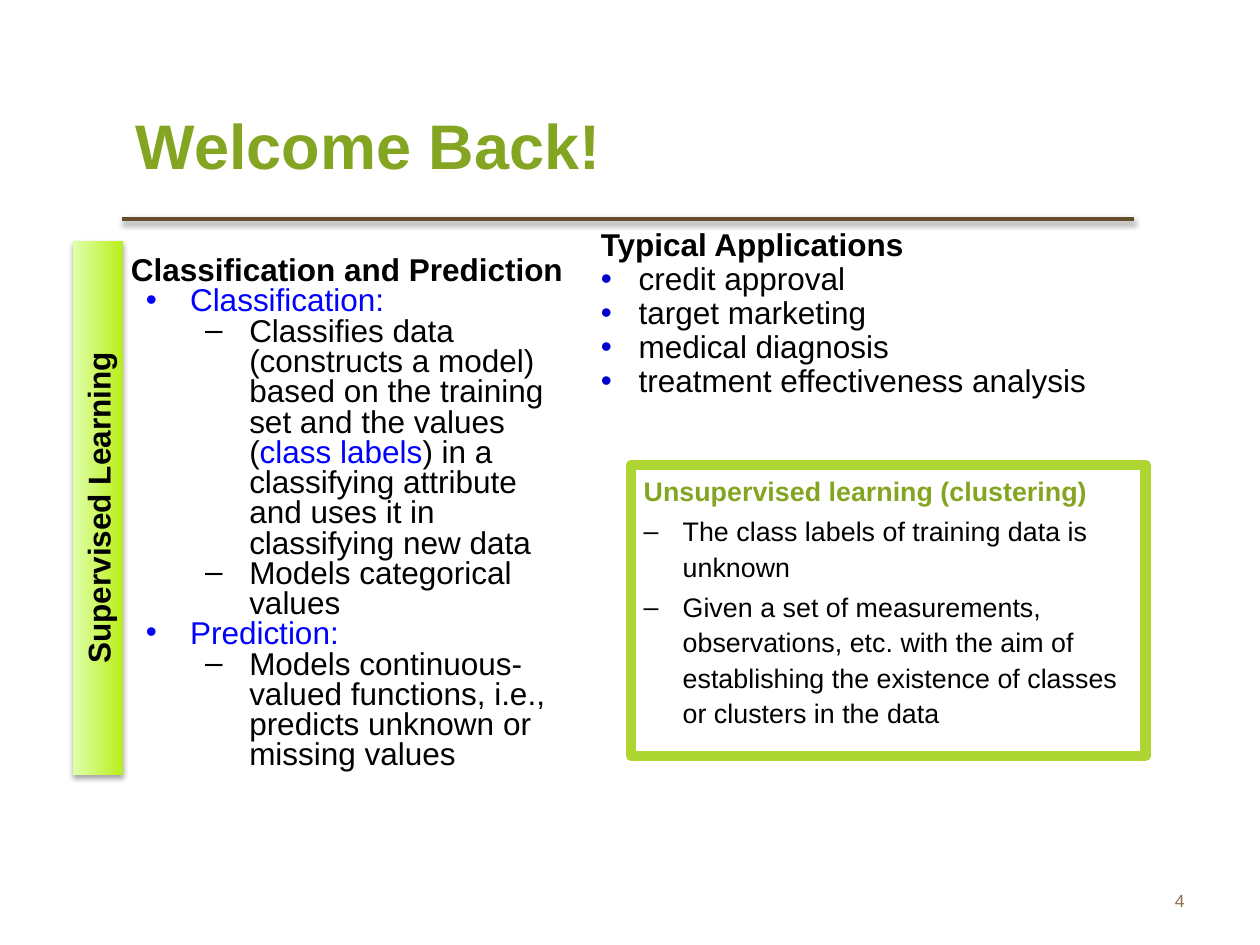
from dataclasses import dataclass
from lxml.etree import SubElement as Sub
from pptx import Presentation
from pptx.dml.color import RGBColor as Rgb
from pptx.enum.shapes import MSO_CONNECTOR as Link, MSO_SHAPE as Shape
from pptx.enum.text import MSO_ANCHOR as Anchor, PP_ALIGN as Align
from pptx.oxml.ns import qn
from pptx.util import Inches, Pt


@dataclass(frozen=True)
class Theme:
    face: str = "Arial"
    black: str = "000000"
    blue: str = "0000FF"
    dot: str = "0000CC"
    green: str = "84A521"
    frame: str = "ADD632"
    lime: str = "B9EF19"
    pale: str = "E0FFAB"
    brown: str = "634D2A"
    tan: str = "8F6F52"
    head: float = 36
    body: float = 18
    note: float = 15.3
    page: float = 10


T = Theme()


@dataclass(frozen=True)
class Style:
    size: float = T.body
    color: str = T.black
    bold: bool = False
    space: float = 1
    before: float = 0
    left: float = 0
    hang: float = 0
    mark: str = ""
    dot: str = ""
    align: Align = Align.LEFT


def set_mark(para, style):
    props = para._p.get_or_add_pPr()
    props.set("marL", str(Inches(style.left)))
    props.set("indent", str(-Inches(style.hang)))
    if style.dot:
        tint = Sub(props, qn("a:buClr"))
        Sub(tint, qn("a:srgbClr"), val=style.dot)
    Sub(props, qn("a:buFont"), typeface=T.face)
    Sub(props, qn("a:buChar"), char=style.mark)


def add_run(para, text, style, color):
    run = para.add_run()
    run.text = text
    font = run.font
    font.name, font.size, font.bold = T.face, Pt(style.size), style.bold
    font.color.rgb = Rgb.from_string(color)


def write(shape, rows, anchor=Anchor.TOP):
    frame = shape.text_frame
    frame.word_wrap = True
    frame.vertical_anchor = anchor
    for i, (style, *parts) in enumerate(rows):
        para = frame.add_paragraph() if i else frame.paragraphs[0]
        if style.mark:
            set_mark(para, style)
        para.alignment = style.align
        para.line_spacing = style.space
        para.space_before = Pt(style.before if i else 0)
        for part in parts:
            text, color = (part, style.color) if isinstance(part, str) else part
            add_run(para, text, style, color)


def add_text(slide, box, rows, anchor=Anchor.TOP):
    shape = slide.shapes.add_textbox(*map(Inches, box))
    write(shape, rows, anchor)


def add_rect(slide, box):
    shape = slide.shapes.add_shape(Shape.RECTANGLE, *map(Inches, box))
    shape.shadow.inherit = False
    return shape


def add_shade(props, alpha, dist):
    list_ = props.find(qn("a:effectLst"))
    if list_ is None:
        list_ = Sub(props, qn("a:effectLst"))
    cast = Sub(list_, qn("a:outerShdw"), blurRad=str(Pt(3.1)),
               dist=str(Pt(dist)), dir="5400000", rotWithShape="0")
    tint = Sub(cast, qn("a:srgbClr"), val=T.black)
    Sub(tint, qn("a:alpha"), val=str(alpha * 1000))


def add_rule(slide):
    ends = map(Inches, (0.97, 1.74, 9, 1.74))
    rule = slide.shapes.add_connector(Link.STRAIGHT, *ends)
    rule.line.color.rgb = Rgb.from_string(T.brown)
    rule.line.width = Pt(2)
    add_shade(rule._element.spPr, 38, 1.6)


def add_frame(slide, box, rows):
    shape = add_rect(slide, box)
    shape.fill.background()
    shape.line.color.rgb = Rgb.from_string(T.frame)
    shape.line.width = Pt(6)
    write(shape, rows)


def add_band(slide, box, text):
    shape = add_rect(slide, box)
    shape.rotation = 270
    shape.line.fill.background()
    shape.fill.gradient()
    shape.fill.gradient_angle = 90
    for stop, color in zip(shape.fill.gradient_stops, (T.lime, T.pale)):
        stop.color.rgb = Rgb.from_string(color)
    add_shade(shape._element.spPr, 35, 1.8)
    write(shape, [(Style(bold=True, align=Align.CENTER), text)])


def main():
    deck = Presentation()
    deck.slide_width, deck.slide_height = Inches(10), Inches(7.5)
    slide = deck.slides.add_slide(deck.slide_layouts[6])

    add_rule(slide)
    page = Style(T.page, T.tan, align=Align.RIGHT)
    add_text(slide, (7.17, 6.95, 2.33, 0.4), [(page, "4")], Anchor.MIDDLE)
    title = Style(T.head, T.green, True)
    add_text(slide, (0.98, 0.52, 8.52, 1.25), [(title, "Welcome Back!")], Anchor.MIDDLE)

    head = Style(bold=True, space=0.8)
    term = Style(color=T.blue, space=0.8, left=0.47, hang=0.35, mark="•")
    dash = Style(space=0.8, left=0.94, hang=0.35, mark="–")
    add_text(slide, (0.94, 1.76, 3.73, 4.65), [
        (head, "Classification and Prediction"),
        (term, "Classification:"),
        (dash, "Classifies data (constructs a model) based on the training set "
               "and the values (", ("class labels", T.blue),
         ") in a classifying attribute and uses it in classifying new data"),
        (dash, "Models categorical values"),
        (term, "Prediction:"),
        (dash, "Models continuous-valued functions, i.e., predicts unknown "
               "or missing values"),
    ], Anchor.MIDDLE)

    use = Style(space=0.9, left=0.3, hang=0.3, mark="•", dot=T.dot)
    uses = ("credit approval", "target marketing", "medical diagnosis",
            "treatment effectiveness analysis")
    add_text(slide, (4.67, 1.77, 4.5, 1.46), [
        (Style(bold=True, space=0.9), "Typical Applications"),
        *((use, text) for text in uses),
    ])

    note = Style(T.note, space=1.1, before=3, left=0.31, hang=0.31, mark="–")
    add_frame(slide, (5.01, 3.69, 4.08, 2.31), [
        (Style(T.note, T.green, True, 1.1), "Unsupervised learning (clustering)"),
        (note, "The class labels of training data is unknown"),
        (note, "Given a set of measurements, observations, etc. with the aim of "
               "establishing the existence of classes or clusters in the data"),
    ])
    add_band(slide, (-1.34, 3.83, 4.24, 0.4), "Supervised Learning")
    deck.save("out.pptx")


if __name__ == "__main__":
    main()
